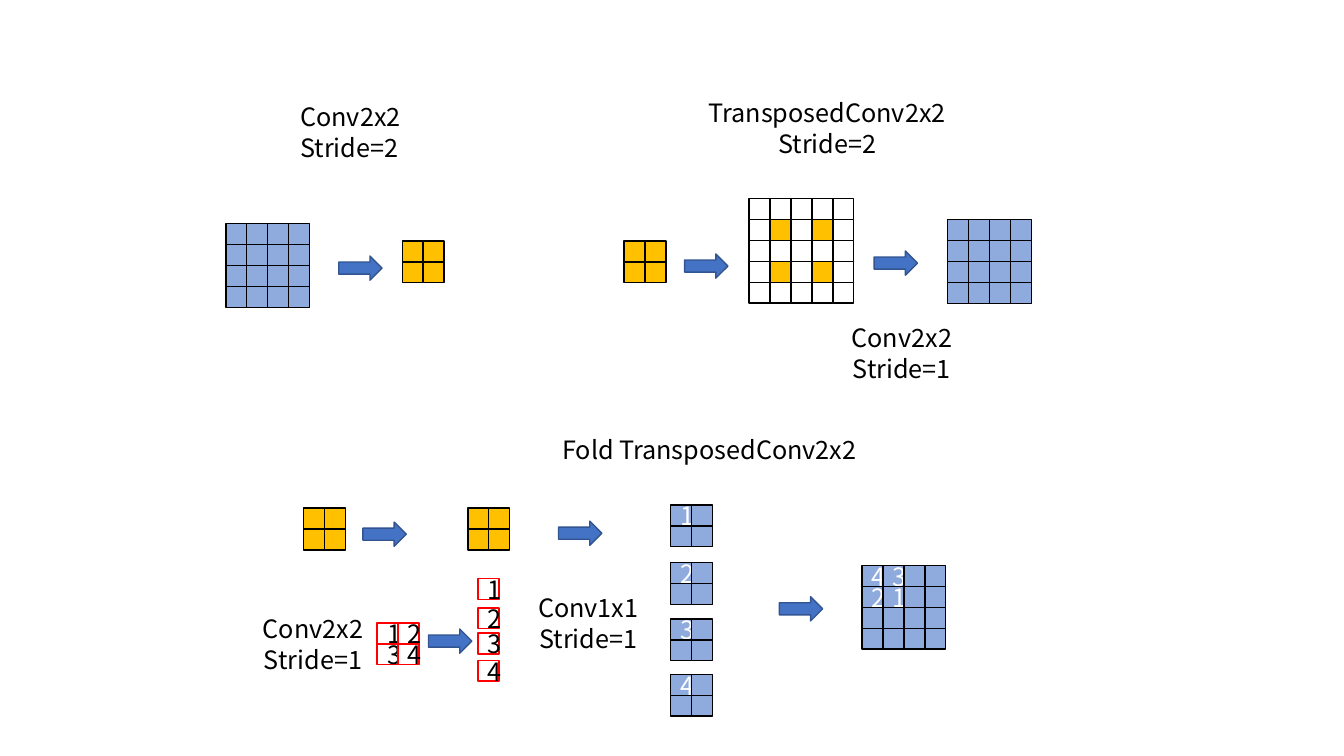
from pptx import Presentation
from pptx import util as u
from pptx.dml.color import RGBColor
from pptx.enum import shapes, text

FONT = "Noto Sans CJK SC"
CELL = 0.83 / 4
BLUE, ORANGE, WHITE, BLACK, RED = "8FAADC", "FFC000", "FFFFFF", "000000", "FF0000"
ARROW_FILL, ARROW_LINE = "4472C4", "325491"
PAIR = ["..", ".."]
SQUARE = ["...."] * 4
PADDED = [".....", ".#.#.", ".....", ".#.#.", "....."]


def rgb(color):
    return RGBColor.from_string(color)


def write(tf, content, color=BLACK, size=18, align=text.PP_ALIGN.CENTER):
    for i, line in enumerate(content.split("\n")):
        p = tf.add_paragraph() if i else tf.paragraphs[0]
        p.alignment = align
        p.line_spacing = u.Pt(22)
        r = p.add_run()
        r.text = line
        r.font.name = FONT
        r.font.size = u.Pt(size)
        r.font.color.rgb = rgb(color)


def add_label(s, left, top, width, height, content, **fmt):
    box = s.shapes.add_textbox(*map(u.Inches, (left, top, width, height)))
    tf = box.text_frame
    tf.word_wrap = True
    tf.auto_size = text.MSO_AUTO_SIZE.SHAPE_TO_FIT_TEXT
    write(tf, content, **fmt)


def add_preset(s, kind, left, top, width, height, fill, line):
    sp = s.shapes.add_shape(kind, *map(u.Inches, (left, top, width, height)))
    sp.shadow.inherit = False
    sp.fill.solid()
    sp.fill.fore_color.rgb = rgb(fill)
    sp.line.color.rgb = rgb(line)
    sp.line.width = u.Pt(1)
    return sp


def add_arrow(s, left, top):
    add_preset(s, shapes.MSO_SHAPE.RIGHT_ARROW, left, top, 0.43, 0.24, ARROW_FILL, ARROW_LINE)


def add_grid(s, left, top, rows, fill, line=BLACK, color=WHITE):
    for i, row in enumerate(rows):
        for j, mark in enumerate(row):
            sp = add_preset(s, shapes.MSO_SHAPE.RECTANGLE, left + j * CELL, top + i * CELL,
                            CELL, CELL, ORANGE if mark == "#" else fill, line)
            if mark.isdigit():
                write(sp.text_frame, mark, color=color)


def add_convolution(s):
    add_label(s, 2.88, 0.95, 1.34, 0.71, "Conv2x2 Stride=2", align=text.PP_ALIGN.LEFT)
    add_grid(s, 2.24, 2.22, SQUARE, BLUE)
    add_arrow(s, 3.36, 2.54)
    add_grid(s, 3.99, 2.39, PAIR, ORANGE)


def add_transposed(s):
    add_label(s, 6.92, 0.91, 2.57, 0.71, "TransposedConv2x2 Stride=2")
    add_grid(s, 6.19, 2.39, PAIR, ORANGE)
    add_arrow(s, 6.79, 2.52)
    add_grid(s, 7.43, 1.97, PADDED, WHITE)
    add_arrow(s, 8.67, 2.49)
    add_grid(s, 9.4, 2.18, SQUARE, BLUE)
    add_label(s, 7.66, 3.14, 2.57, 0.71, "Conv2x2\nStride=1")


def add_folded(s):
    add_label(s, 5.48, 4.25, 4.54, 0.4, "Fold TransposedConv2x2", align=text.PP_ALIGN.LEFT)
    add_grid(s, 3.01, 5.04, PAIR, ORANGE)
    add_arrow(s, 3.6, 5.18)
    add_grid(s, 4.64, 5.04, PAIR, ORANGE)
    add_arrow(s, 5.54, 5.17)
    add_label(s, 4.55, 5.82, 2.57, 0.71, "Conv1x1\nStride=1")
    for digit, kernel_top, output_top in zip("1234", (5.74, 6.03, 6.28, 6.55),
                                             (5.01, 5.58, 6.14, 6.69)):
        add_grid(s, 4.74, kernel_top, [digit], WHITE, line=RED, color=BLACK)
        add_grid(s, 6.65, output_top, [digit + ".", ".."], BLUE)
    add_grid(s, 3.74, 6.18, ["12", "34"], WHITE, line=RED, color=BLACK)
    add_arrow(s, 4.25, 6.24)
    add_label(s, 1.82, 6.03, 2.57, 0.71, "Conv2x2\nStride=1")
    add_arrow(s, 7.73, 5.92)
    add_grid(s, 8.55, 5.61, ["43..", "21..", "....", "...."], BLUE)


def main():
    prs = Presentation()
    prs.slide_width, prs.slide_height = u.Inches(13.33), u.Inches(7.5)
    s = prs.slides.add_slide(prs.slide_layouts[6])
    add_convolution(s)
    add_transposed(s)
    add_folded(s)
    prs.save("out.pptx")


if __name__ == "__main__":
    main()
